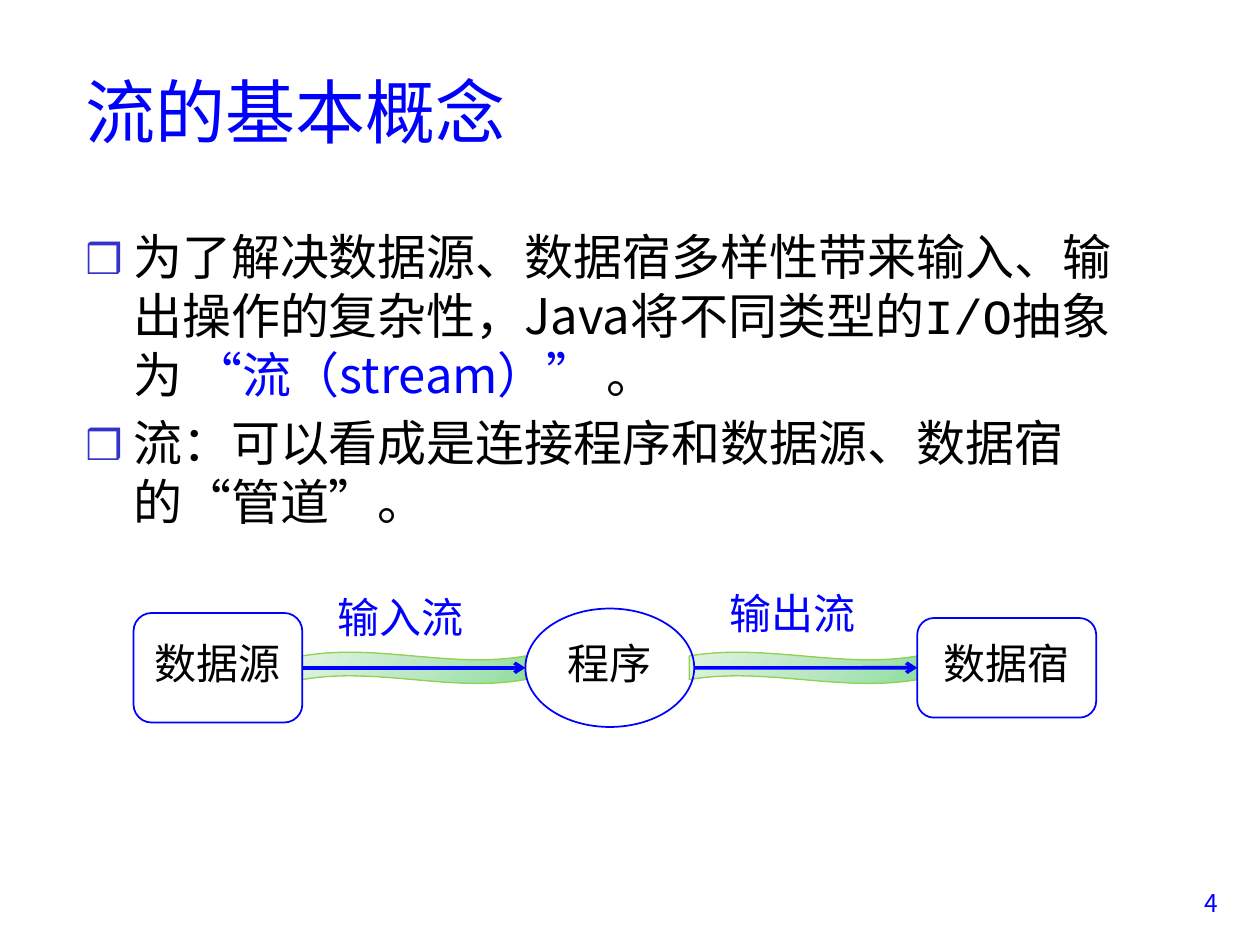
"""Build the slide that explains the basic concept of a stream."""
from lxml import etree
from pptx import Presentation
from pptx import util as u
from pptx.dml.color import RGBColor
from pptx.enum import shapes, text
from pptx.oxml import parse_xml
from pptx.oxml.ns import nsdecls, qn

BLUE = RGBColor(0x00, 0x00, 0xFF)
BLACK = RGBColor(0x00, 0x00, 0x00)
GREEN = RGBColor(0x92, 0xD0, 0x50)
BULLET_COLOR = RGBColor(0x33, 0x33, 0xCC)
GRADIENT = [(0, "91DEA0"), (50, "BDE8C5"), (100, "DFF3E3")]
SANS, MONO = "Noto Sans CJK SC", "Courier New"

TITLE = "流的基本概念"
BULLETS = [
    [("为了解决数据源、数据宿多样性带来输入、输出操作的复杂性，Java将不同类型的", SANS, BLACK),
     ("I/O", MONO, BLACK), ("抽象为 ", SANS, BLACK),
     ("“流（stream）”", SANS, BLUE), (" 。", SANS, BLACK)],
    [("流：可以看成是连接程序和数据源、数据宿的“管道”。", SANS, BLACK)],
]
RECTANGLE, ELLIPSE = shapes.MSO_SHAPE.ROUNDED_RECTANGLE, shapes.MSO_SHAPE.OVAL
NODES = [("数据源", RECTANGLE, 1.06, 1.34, 0.87),
         ("程序", ELLIPSE, 4.17, 1.34, 0.94),
         ("数据宿", RECTANGLE, 7.28, 1.42, 0.79)]
STREAMS = [("输入流", 2.58, 4.72, 2.4), ("输出流", 5.69, 4.69, 5.47)]
FLOW_Y, WAVE_HEIGHT = 5.3, 0.25


def add_run(paragraph, words, size, color, font=SANS):
    run = paragraph.add_run()
    run.text = words
    for name, value in {"size": u.Pt(size), "name": font}.items():
        setattr(run.font, name, value)
    run.font.color.rgb = color
    etree.SubElement(run.font._element, qn("a:ea"), typeface=SANS)


def add_bullet(paragraph):
    properties = paragraph._p.get_or_add_pPr()
    properties.set("marL", str(u.Inches(0.38)))
    properties.set("indent", str(u.Inches(-0.38)))
    color = etree.SubElement(properties, qn("a:buClr"))
    etree.SubElement(color, qn("a:srgbClr"), val=str(BULLET_COLOR))
    etree.SubElement(properties, qn("a:buSzPct"), val="85000")
    etree.SubElement(properties, qn("a:buFont"), typeface=SANS)
    etree.SubElement(properties, qn("a:buChar"), char="❒")


def add_text_box(slide, *box, wrap=True):
    frame = slide.shapes.add_textbox(*map(u.Inches, box)).text_frame
    frame.word_wrap = wrap
    return frame


def add_outline(slide, kind, color, width, *box):
    shape = slide.shapes.add_shape(kind, *map(u.Inches, box))
    shape.shadow.inherit = False
    shape.line.color.rgb = color
    shape.line.width = u.Pt(width)
    return shape


def add_wave(slide, left, right):
    wave = add_outline(slide, shapes.MSO_SHAPE.WAVE, GREEN, 0.75, left,
                       FLOW_Y - WAVE_HEIGHT / 2, right - left, WAVE_HEIGHT)
    stops = "".join(f'<a:gs pos="{place * 1000}"><a:srgbClr val="{color}"/></a:gs>'
                    for place, color in GRADIENT)
    wave._element.spPr.find(qn("a:prstGeom")).addnext(parse_xml(
        f'<a:gradFill {nsdecls("a")}><a:gsLst>{stops}</a:gsLst>'
        f'<a:lin ang="{225 * 60000}" scaled="0"/></a:gradFill>'))


def add_node(slide, label, kind, left, width, height):
    node = add_outline(slide, kind, BLUE, 1, left, FLOW_Y - height / 2, width, height)
    node.fill.background()
    frame = node.text_frame
    frame.vertical_anchor = text.MSO_ANCHOR.MIDDLE
    frame.margin_left = frame.margin_right = 0
    paragraph = frame.paragraphs[0]
    paragraph.alignment = text.PP_ALIGN.CENTER
    paragraph.line_spacing = 0.8
    add_run(paragraph, label, 24, BLACK)
    return node


def add_arrow(slide, start, end):
    arrow = slide.shapes.add_connector(
        shapes.MSO_CONNECTOR.STRAIGHT, start.left + start.width, u.Inches(FLOW_Y),
        end.left, u.Inches(FLOW_Y))
    if start.auto_shape_type == RECTANGLE:
        arrow.begin_connect(start, 3)
    if end.auto_shape_type == RECTANGLE:
        arrow.end_connect(end, 1)
    arrow.line.color.rgb = BLUE
    arrow.line.width = u.Pt(2)
    etree.SubElement(arrow.line._get_or_add_ln(), qn("a:tailEnd"), type="arrow")
    etree.SubElement(arrow._element.spPr, qn("a:effectLst"))


def main():
    presentation = Presentation()
    presentation.slide_width, presentation.slide_height = u.Inches(10), u.Inches(7.5)
    slide = presentation.slides.add_slide(presentation.slide_layouts[5])

    title = slide.shapes.title
    for name, value in {"left": 0.58, "top": 0.25, "width": 8.5, "height": 1.25}.items():
        setattr(title, name, u.Inches(value))
    title.text_frame.vertical_anchor = text.MSO_ANCHOR.MIDDLE
    heading = title.text_frame.paragraphs[0]
    heading.alignment = text.PP_ALIGN.LEFT
    add_run(heading, TITLE, 40, BLUE)

    body = add_text_box(slide, 0.58, 1.75, 8.5, 2.6)
    for index, runs in enumerate(BULLETS):
        paragraph = body.add_paragraph() if index else body.paragraphs[0]
        add_bullet(paragraph)
        if index:
            paragraph.space_before = u.Pt(5.6)
        for words, font, color in runs:
            add_run(paragraph, words, 28, color, font)

    number = add_text_box(slide, 9.1, 7, 0.67, 0.5).paragraphs[0]
    number.alignment = text.PP_ALIGN.RIGHT
    add_run(number, "4", 14, BLUE)

    for (label, left, top, wave_left), target in zip(STREAMS, NODES[1:]):
        add_wave(slide, wave_left, target[2])
        caption = add_text_box(slide, left, top, 1.21, 0.43, wrap=False).paragraphs[0]
        caption.line_spacing = 0.8
        add_run(caption, label, 24, BLUE, MONO)

    nodes = [add_node(slide, *node) for node in NODES]
    for start, end in zip(nodes, nodes[1:]):
        add_arrow(slide, start, end)
    presentation.save("out.pptx")


if __name__ == "__main__":
    main()
